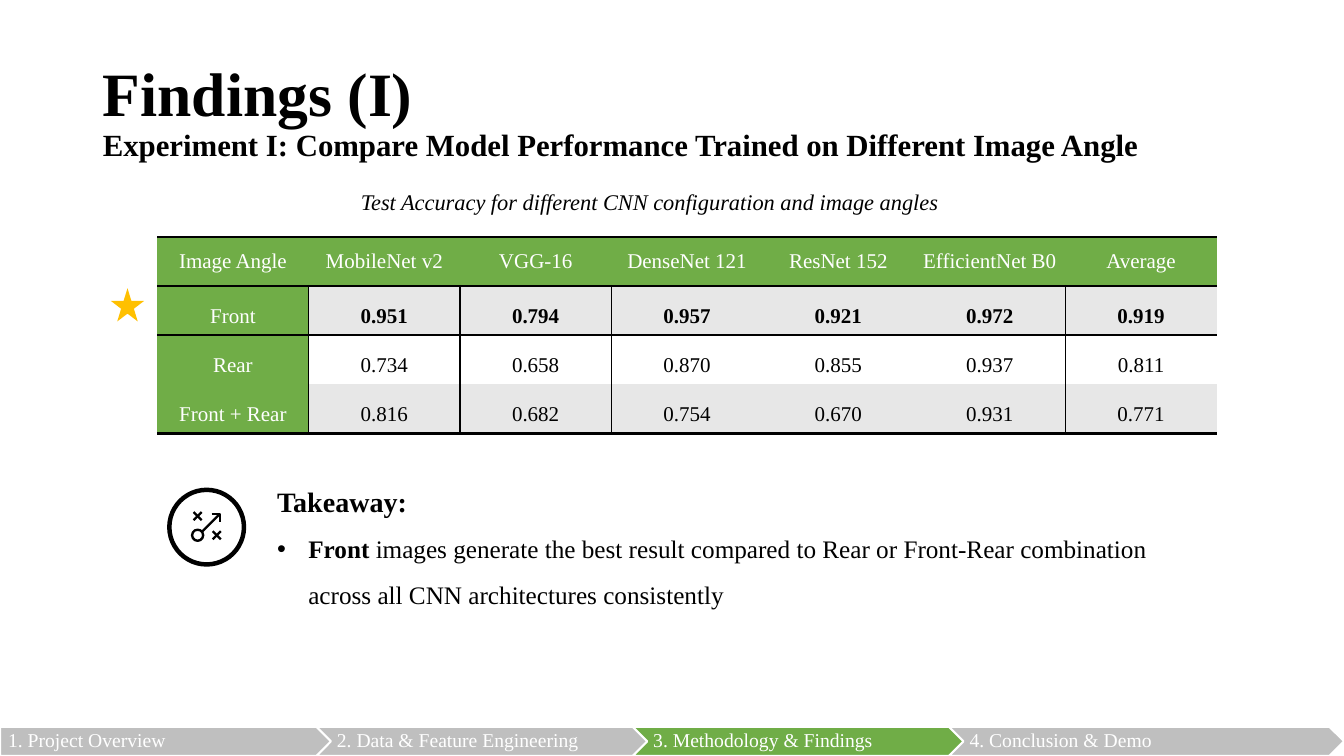
from lxml import etree
from pptx import Presentation
from pptx.dml.color import RGBColor
from pptx.enum import shapes as es, text as et
from pptx.oxml import ns
from pptx.util import Inches, Pt

BLACK = RGBColor(0, 0, 0)
WHITE = RGBColor(255, 255, 255)
GREEN = RGBColor(0x70, 0xAD, 0x47)
GREY = RGBColor(0xBF, 0xBF, 0xBF)
PALE = RGBColor(0xE7, 0xE7, 0xE7)
GOLD = RGBColor(0xFF, 0xC0, 0x00)
FONT = "Times New Roman"
PLAIN = "{2D5ABB26-0587-4C30-8999-92F81FD0307C}"
SHAPE = es.MSO_SHAPE
MID = et.MSO_ANCHOR.MIDDLE
LEFT, CENTER = et.PP_ALIGN.LEFT, et.PP_ALIGN.CENTER

HEAD = "Findings (I)"
SUB = "Experiment I: Compare Model Performance Trained on Different Image Angle"
CAPTION = "Test Accuracy for different CNN configuration and image angles"
TAKE = "Takeaway:"
POINT = ("Front ", "images generate the best result compared to Rear or "
         "Front-Rear combination across all CNN architectures consistently")
STEPS = ["1. Project Overview", "2. Data & Feature Engineering",
         "3. Methodology & Findings", "4. Conclusion & Demo"]
ACTIVE = 2
ROWS = [
    ("Image Angle", "MobileNet v2", "VGG-16", "DenseNet 121",
     "ResNet 152", "EfficientNet B0", "Average"),
    ("Front", "0.951", "0.794", "0.957", "0.921", "0.972", "0.919"),
    ("Rear", "0.734", "0.658", "0.870", "0.855", "0.937", "0.811"),
    ("Front + Rear", "0.816", "0.682", "0.754", "0.670", "0.931", "0.771"),
]
RULED = (0, 1, 5)
ARROW = [[(2.01, 5.27), (2.18, 5.1)],
         [(2.1, 5.1), (2.18, 5.1), (2.18, 5.18)]]
CROSSES = [(1.96, 5.12), (2.15, 5.31)]
RINGS = [(2.05, 5.23, 0.74, 3.2), (1.96, 5.31, 0.11, 1.7)]


def write(para, words, size, color=BLACK, bold=False, italic=False,
          align=LEFT, gap=None):
    run = para.add_run()
    run.text = words
    font = run.font
    font.name, font.size, font.bold, font.italic = FONT, Pt(size), bold, italic
    font.color.rgb = color
    para.alignment = align
    if gap:
        para.line_spacing = gap


def paint(shape, fill=None, line=None, width=1):
    shape.shadow.inherit = False
    if fill is None:
        shape.fill.background()
    else:
        shape.fill.solid()
        shape.fill.fore_color.rgb = fill
    if line is None:
        shape.line.fill.background()
    else:
        shape.line.color.rgb = line
        shape.line.width = Pt(width)


def pad(frame, *sides):
    (frame.margin_left, frame.margin_top,
     frame.margin_right, frame.margin_bottom) = map(Inches, sides)


def box(slide, *place):
    frame = slide.shapes.add_textbox(*map(Inches, place)).text_frame
    frame.word_wrap = True
    return frame


def edge(cell, side, width):
    props = cell._tc.get_or_add_tcPr()
    line = etree.SubElement(props, ns.qn("a:ln" + side), w=str(Pt(width)))
    fill = etree.SubElement(line, ns.qn("a:solidFill"))
    etree.SubElement(fill, ns.qn("a:srgbClr"), val=str(BLACK))


def title(slide):
    shape = slide.shapes.title
    shape.left, shape.top, shape.width, shape.height = map(
        Inches, (0.92, 0.4, 11.5, 1.45))
    frame = shape.text_frame
    frame.auto_size = et.MSO_AUTO_SIZE.NONE
    frame.vertical_anchor = MID
    para = frame.paragraphs[0]
    write(para, HEAD, 44, bold=True, gap=0.9)
    para.add_line_break()
    write(para, SUB, 22, bold=True, gap=0.9)


def steps(slide):
    for i, words in enumerate(STEPS):
        kind = SHAPE.CHEVRON if i else SHAPE.PENTAGON
        shape = slide.shapes.add_shape(
            kind, Inches(3.137 * i), Inches(7.21), Inches(3.92), Inches(0.29))
        paint(shape, GREEN if i == ACTIVE else GREY, WHITE, 1.5)
        frame = shape.text_frame
        frame.vertical_anchor = MID
        pad(frame, 0.06 if i else 0.08, 0.04, 0.02, 0.04)
        write(frame.paragraphs[0], words, 14, WHITE, gap=0.9)


def scores(slide):
    count, last = len(ROWS[0]), len(ROWS) - 1
    frame = slide.shapes.add_table(
        len(ROWS), count, *map(Inches, (1.56, 2.35, 10.51, 1.95)))
    table = frame.table
    table.first_row = table.horz_banding = False
    table._tbl.tblPr.find(ns.qn("a:tableStyleId")).text = PLAIN
    for r, row in enumerate(ROWS):
        for c, words in enumerate(row):
            cell = table.cell(r, c)
            if r and c - 1 in RULED:
                edge(cell, "L", 1)
            if r and c in RULED:
                edge(cell, "R", 1)
            if r < 2:
                edge(cell, "T", 2)
            if r in (0, last):
                edge(cell, "B", 2)
            label = r == 0 or c == 0
            cell.fill.solid()
            cell.fill.fore_color.rgb = (
                GREEN if label else PALE if r % 2 else WHITE)
            cell.vertical_anchor = MID
            pad(cell, 0.07, 0, 0.07, 0)
            write(cell.text_frame.paragraphs[0], words, 15,
                  WHITE if label else BLACK, bold=r == 1 and not label,
                  align=CENTER, gap=1.5 if r else None)


def takeaway(slide):
    frame = box(slide, 2.65, 4.76, 9, 1.31)
    write(frame.paragraphs[0], TAKE, 20, bold=True)
    para = frame.add_paragraph()
    props = para._p.get_or_add_pPr()
    props.set("marL", str(Inches(0.31)))
    props.set("indent", str(-Inches(0.31)))
    etree.SubElement(props, ns.qn("a:buFont"), typeface="Arial")
    etree.SubElement(props, ns.qn("a:buChar"), char="•")
    write(para, POINT[0], 18, bold=True, gap=1.5)
    write(para, POINT[1], 18, gap=1.5)


def icon(slide):
    for x, y, size, width in RINGS:
        ring = slide.shapes.add_shape(SHAPE.OVAL, *map(
            Inches, (x - size / 2, y - size / 2, size, size)))
        paint(ring, line=BLACK, width=width)
    arm = 0.04
    strokes = ARROW + [[(x - arm, y - s * arm), (x + arm, y + s * arm)]
                       for x, y in CROSSES for s in (1, -1)]
    for first, *rest in strokes:
        path = slide.shapes.build_freeform(*map(Inches, first))
        path.add_line_segments(
            [tuple(map(Inches, dot)) for dot in rest], close=False)
        paint(path.convert_to_shape(), line=BLACK, width=1.7)


def main():
    deck = Presentation()
    deck.slide_width, deck.slide_height = Inches(13.33), Inches(7.5)
    slide = deck.slides.add_slide(deck.slide_layouts[5])
    steps(slide)
    scores(slide)
    write(box(slide, 3.48, 1.82, 6.38, 0.37).paragraphs[0],
          CAPTION, 16, italic=True)
    takeaway(slide)
    title(slide)
    star = slide.shapes.add_shape(
        SHAPE.STAR_5_POINT, *map(Inches, (1.1, 2.86, 0.33, 0.33)))
    paint(star, GOLD)
    icon(slide)
    deck.save("out.pptx")


if __name__ == "__main__":
    main()
